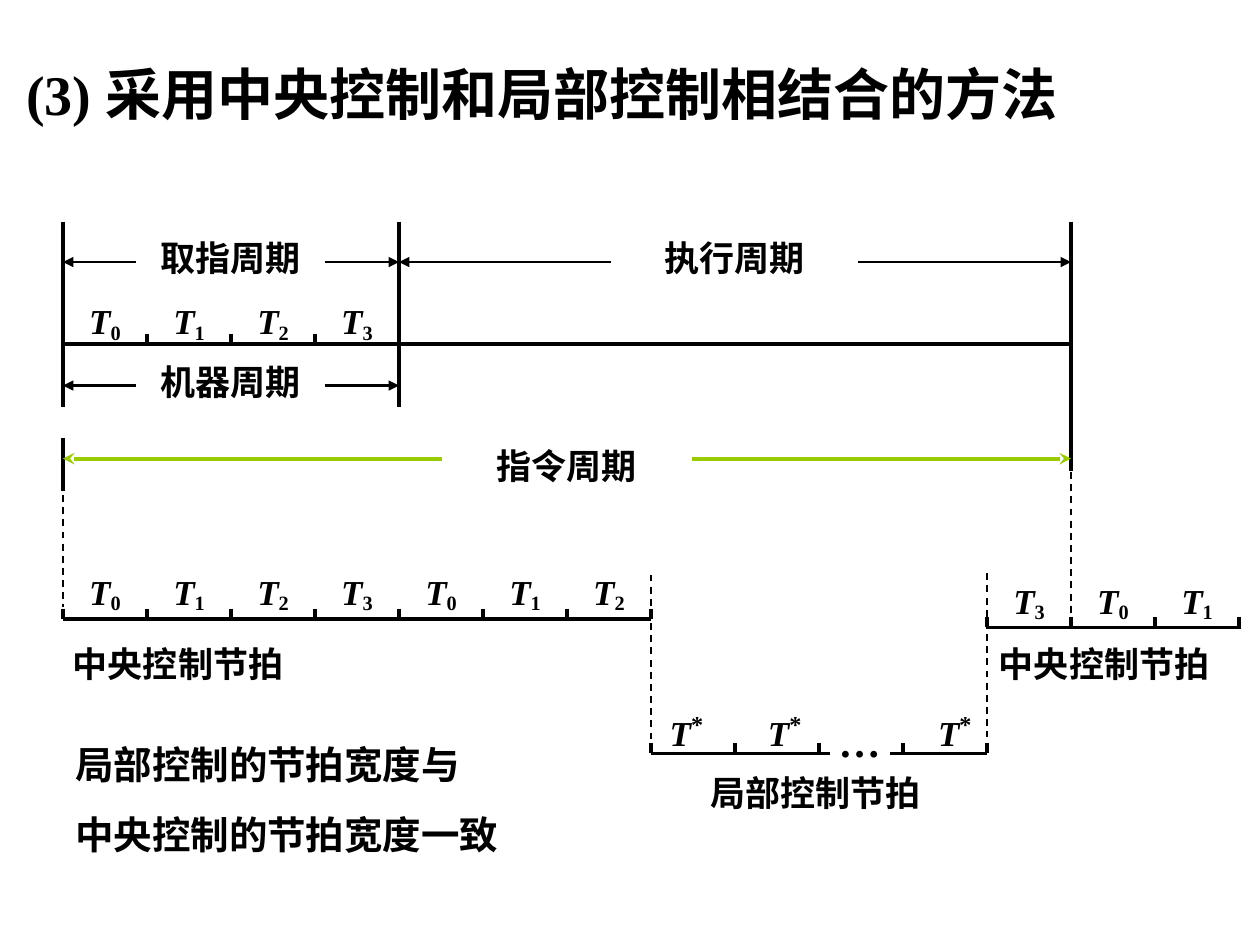
from lxml import etree
from pptx import Presentation
from pptx.dml.color import RGBColor
from pptx.enum.dml import MSO_LINE
from pptx.enum.shapes import MSO_CONNECTOR
from pptx.enum.text import MSO_AUTO_SIZE
from pptx.oxml.ns import qn
from pptx.util import Inches, Pt

BLACK = RGBColor(0x00, 0x00, 0x00)
GREEN = RGBColor(0x99, 0xCC, 0x00)
FONT = "Times New Roman"
STRAIGHT = MSO_CONNECTOR.STRAIGHT
DASH = MSO_LINE.DASH
GROW = MSO_AUTO_SIZE.SHAPE_TO_FIT_TEXT

BEAT = 2 / 3      # width of one beat, the column of the grid
LEFT = 0.5        # where column 0 starts
TICK = 0.08       # height of a beat mark
INSET = 0.11      # from a beat mark to its label


def column(number):
    return LEFT + number * BEAT


def add_line(slide, x1, y1, x2, y2, width=2.25, color=BLACK, dash=None, arrow=None):
    line = slide.shapes.add_connector(
        STRAIGHT, Inches(x1), Inches(y1), Inches(x2), Inches(y2))
    line.line.width = Pt(width)
    line.line.color.rgb = color
    if dash is not None:
        line.line.dash_style = dash
    if arrow:
        outline = line.line._get_or_add_ln()
        etree.SubElement(outline, qn("a:tailEnd"), type=arrow)
    etree.SubElement(line._element.spPr, qn("a:effectLst"))


def add_text(slide, box, paragraphs, size=20, wrap=False, space_before=None):
    """Each paragraph is a list of (text, run properties) pairs."""
    shape = slide.shapes.add_textbox(*(Inches(length) for length in box))
    frame = shape.text_frame
    frame.word_wrap = wrap
    frame.auto_size = GROW
    for index, runs in enumerate(paragraphs):
        paragraph = frame.add_paragraph() if index else frame.paragraphs[0]
        if space_before is not None:
            paragraph.space_before = Pt(space_before)
        for text, properties in runs:
            run = paragraph.add_run()
            run.text = text
            run.font.name = FONT
            run.font.size = Pt(size)
            run.font.bold = True
            run.font.color.rgb = BLACK
            for name, value in properties.items():
                run._r.get_or_add_rPr().set(name, str(value))


def add_caption(slide, left, top, text):
    width = len(text) * 20 / 72 + 0.2
    add_text(slide, (left, top, width, 0.44), [[(text, {})]])


def add_beat_label(slide, left, top, mark):
    if mark == "*":
        mark_style = {"baseline": 30000, "sz": 2400}
        width, height = 0.5, 0.5
    else:
        mark_style = {"baseline": -15000}
        width, height = 0.45, 0.45
    add_text(slide, (left, top, width, height), [[("T", {"i": 1}), (mark, mark_style)]])


def add_beat_axis(slide, start, end, y, ticks, marks=()):
    """Axis between two columns, with beat marks and one label per beat."""
    add_line(slide, column(start), y, column(end), y)
    for tick in ticks:
        add_line(slide, column(tick), y - TICK, column(tick), y)
    for tick, mark in zip(ticks, marks):
        add_beat_label(slide, column(tick) + INSET, y - 0.43, mark)


def add_span(slide, first, last, y, gap, width=1.5, color=BLACK, arrow="triangle"):
    """Two arrows that point outwards and leave a gap for the caption."""
    left, right = column(first), column(last)
    add_line(slide, left + gap[0], y, left, y, width, color, arrow=arrow)
    add_line(slide, right - gap[1], y, right, y, width, color, arrow=arrow)


def add_title(slide, left, top):
    runs = [("(3) 采用中央控制和局部控制相结合的方法", {})]
    add_text(slide, (left, top, 8.55, 0.64), [runs], size=32)


def add_instruction_cycle(slide, top):
    # Boundaries of the cycles
    for number, start, end in ((0, 0, 1.47), (4, 0, 1.47), (12, 0, 1.98), (0, 1.72, 2.14)):
        add_line(slide, column(number), top + start, column(number), top + end)
    add_beat_axis(slide, 0, 12, top + 0.97, (1, 2, 3))
    for number in range(4):
        add_beat_label(slide, column(number) + INSET, top + 0.57, str(number))
    # Spans and their captions
    add_span(slide, 0, 4, top + 0.32, (0.58, 0.59))
    add_span(slide, 4, 12, top + 0.32, (1.68, 1.69))
    add_span(slide, 0, 4, top + 1.3, (0.58, 0.59))
    add_span(slide, 0, 12, top + 1.88, (3.01, 3.01), 2.25, GREEN, "stealth")
    for number, offset, text in ((1, 0.07, "取指周期"), (7, 0.07, "执行周期"),
                                 (1, 1.05, "机器周期"), (5, 1.72, "指令周期")):
        add_caption(slide, column(number) + 0.01, top + offset, text)


def add_projection_lines(slide):
    for number, start, end in ((0, 3.64, 4.82), (7, 4.56, 5.87),
                               (11, 4.55, 5.85), (12, 3.65, 4.89)):
        add_line(slide, column(number), start, column(number), end, 1, dash=DASH)


def add_central_beats(slide, first, last, end, y, caption, marks):
    add_beat_axis(slide, first, end, y, range(first, last + 1), marks)
    add_caption(slide, caption[0], caption[1], "中央控制节拍")


def add_local_beats(slide, first, y):
    add_beat_axis(slide, first, first + 2.13, y, range(first, first + 3))
    add_beat_axis(slide, first + 2.85, first + 4, y, (first + 3, first + 4))
    for shift in (0.05, 0.83, 2.18):
        add_beat_label(slide, column(first) + shift, y - 0.44, "*")
    add_text(slide, (column(first) + 1.39, y - 0.35, 0.79, 0.5), [[("…", {})]],
             size=24, wrap=True, space_before=15)
    add_caption(slide, column(first) + 0.37, y + 0.09, "局部控制节拍")


def add_conclusion(slide, left, top):
    lines = ("局部控制的节拍宽度与", "中央控制的节拍宽度一致")
    add_text(slide, (left, top, 4.92, 1.03), [[(line, {})] for line in lines],
             size=22, wrap=True, space_before=13.8)


def main():
    presentation = Presentation()
    presentation.slide_width = Inches(10)
    presentation.slide_height = Inches(7.5)
    slide = presentation.slides.add_slide(presentation.slide_layouts[6])
    add_title(slide, 0.11, 0.42)
    add_projection_lines(slide)
    add_central_beats(slide, 0, 7, 7, 4.91, (0.48, 5.05), "0123012")
    add_central_beats(slide, 11, 14, 14.03, 4.98, (7.83, 5.05), "301")
    add_instruction_cycle(slide, 1.76)
    add_conclusion(slide, LEFT, 5.83)
    add_local_beats(slide, 7, 5.98)
    presentation.save("out.pptx")


if __name__ == "__main__":
    main()
